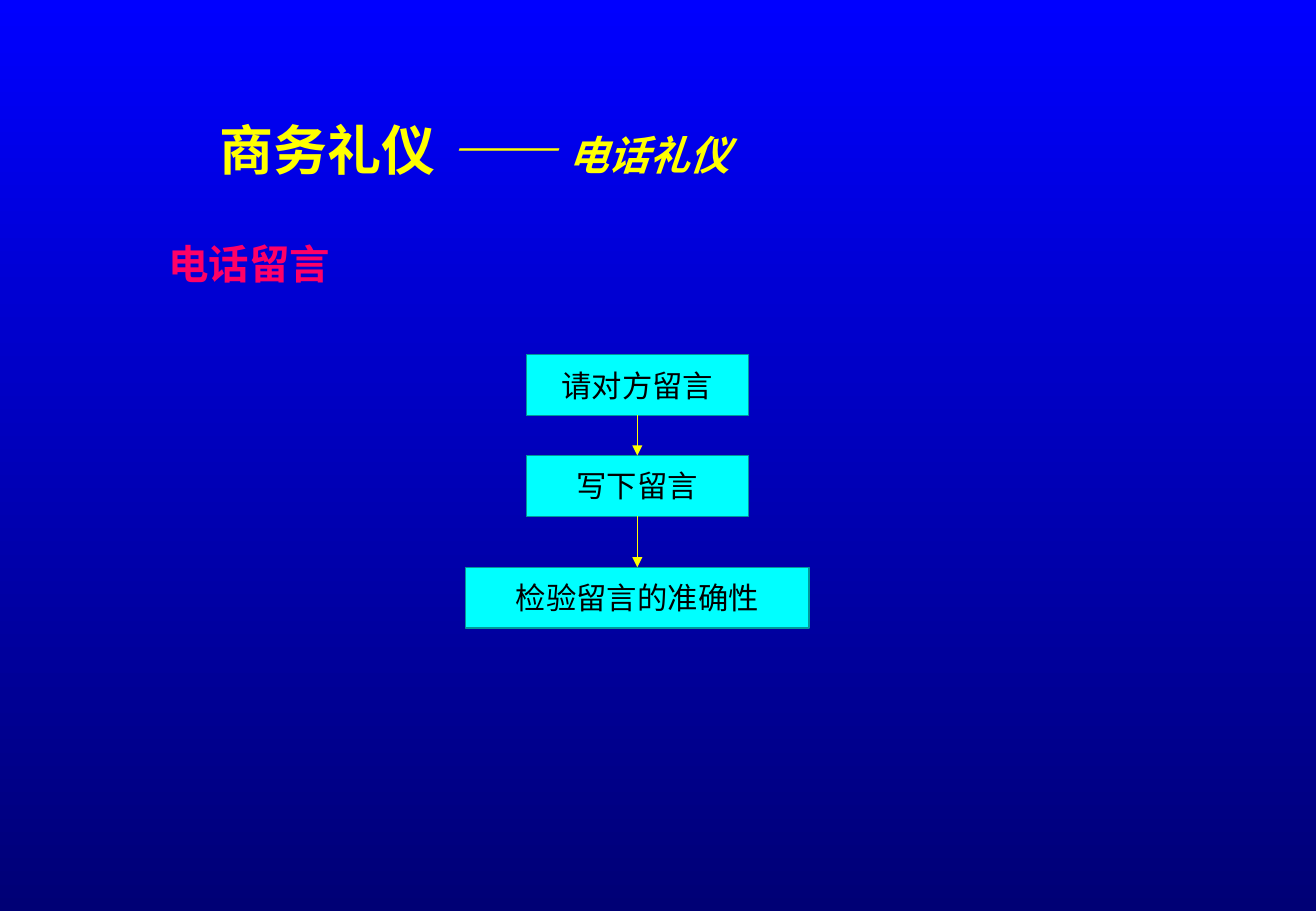
"""Build the slide on telephone etiquette: a heading and a flow of three steps."""
from itertools import pairwise

from lxml.etree import SubElement
from pptx import Presentation
from pptx.dml.color import RGBColor
from pptx.enum.shapes import MSO_CONNECTOR, MSO_SHAPE
from pptx.enum.text import MSO_ANCHOR, MSO_AUTO_SIZE, PP_ALIGN
from pptx.oxml.ns import qn
from pptx.util import Inches, Pt

HUES = {
    "top": "0000FF", "base": "000075", "title": "FFFF00", "head": "FF0066",
    "box": "00FFFF", "edge": "009999", "ink": "010000", "arrow": "FFFF00",
}


def hue(name):
    return RGBColor.from_string(HUES[name])


def write(frame, text, size=18, color="ink", bold=False, italic=False,
          align=PP_ALIGN.LEFT, anchor=MSO_ANCHOR.TOP, wrap=False,
          fit=MSO_AUTO_SIZE.NONE, space=1.0):
    frame.word_wrap = wrap
    frame.auto_size = fit
    frame.vertical_anchor = anchor
    line = frame.paragraphs[0]
    line.alignment = align
    line.line_spacing = space
    run = line.add_run()
    run.text = text
    font = run.font
    font.name = "Times New Roman"
    font.size = Pt(size)
    font.bold = bold
    font.italic = italic
    font.color.rgb = hue(color)


deck = Presentation()
deck.slide_width = Inches(10.84)
deck.slide_height = Inches(7.5)
slide = deck.slides.add_slide(deck.slide_layouts[5])
shapes = slide.shapes

back = slide.background.fill
back.gradient()
back.gradient_angle = 270
for stop, name, place in zip(back.gradient_stops, ("top", "base"), (0, 1)):
    stop.color.rgb = hue(name)
    stop.position = place

title = shapes.title
title.left, title.top = Inches(1.71), Inches(0.83)
title.width, title.height = Inches(8.13), Inches(0.92)
for text, size, slant in (("商务礼仪 ", 32, False), ("—— ", 32, True),
                          ("电话礼仪", 24, True)):
    write(title.text_frame, text, size=size, color="title", bold=True,
          italic=slant, anchor=MSO_ANCHOR.MIDDLE, wrap=True, space=0.7)

head = shapes.add_textbox(Inches(1.29), Inches(1.92), Inches(1.53), Inches(0.5))
write(head.text_frame, "电话留言", size=24, color="head", bold=True,
      fit=MSO_AUTO_SIZE.SHAPE_TO_FIT_TEXT)

AXIS = Inches(5.25)
HIGH = Inches(0.5)
steps = []
for text, top, width in (("请对方留言", 2.92, 1.83), ("写下留言", 3.75, 1.83),
                         ("检验留言的准确性", 4.67, 2.83)):
    wide = Inches(width)
    box = shapes.add_shape(MSO_SHAPE.RECTANGLE, AXIS - wide // 2, Inches(top),
                           wide, HIGH)
    box.shadow.inherit = False
    box.fill.solid()
    box.fill.fore_color.rgb = hue("box")
    box.line.color.rgb = hue("edge")
    box.line.width = Pt(0.75)
    write(box.text_frame, text, align=PP_ALIGN.CENTER, anchor=MSO_ANCHOR.MIDDLE)
    steps.append(box)

for above, below in pairwise(steps):
    arrow = shapes.add_connector(MSO_CONNECTOR.STRAIGHT, AXIS, above.top + HIGH,
                                 AXIS, below.top)
    arrow.begin_connect(above, 2)
    arrow.end_connect(below, 0)
    arrow.line.color.rgb = hue("arrow")
    arrow.line.width = Pt(0.75)
    SubElement(arrow.line._get_or_add_ln(), qn("a:tailEnd"), type="triangle")
    SubElement(arrow._element.spPr, qn("a:effectLst"))

deck.save("out.pptx")
